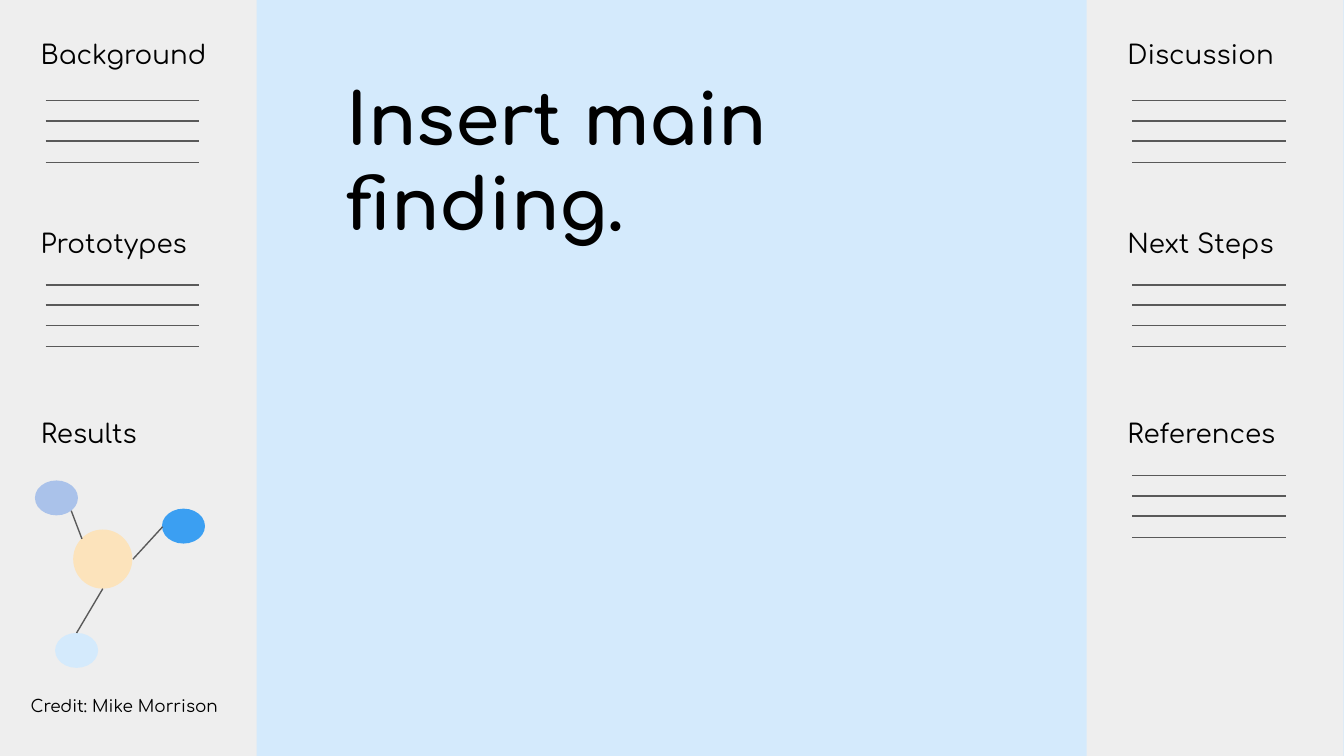
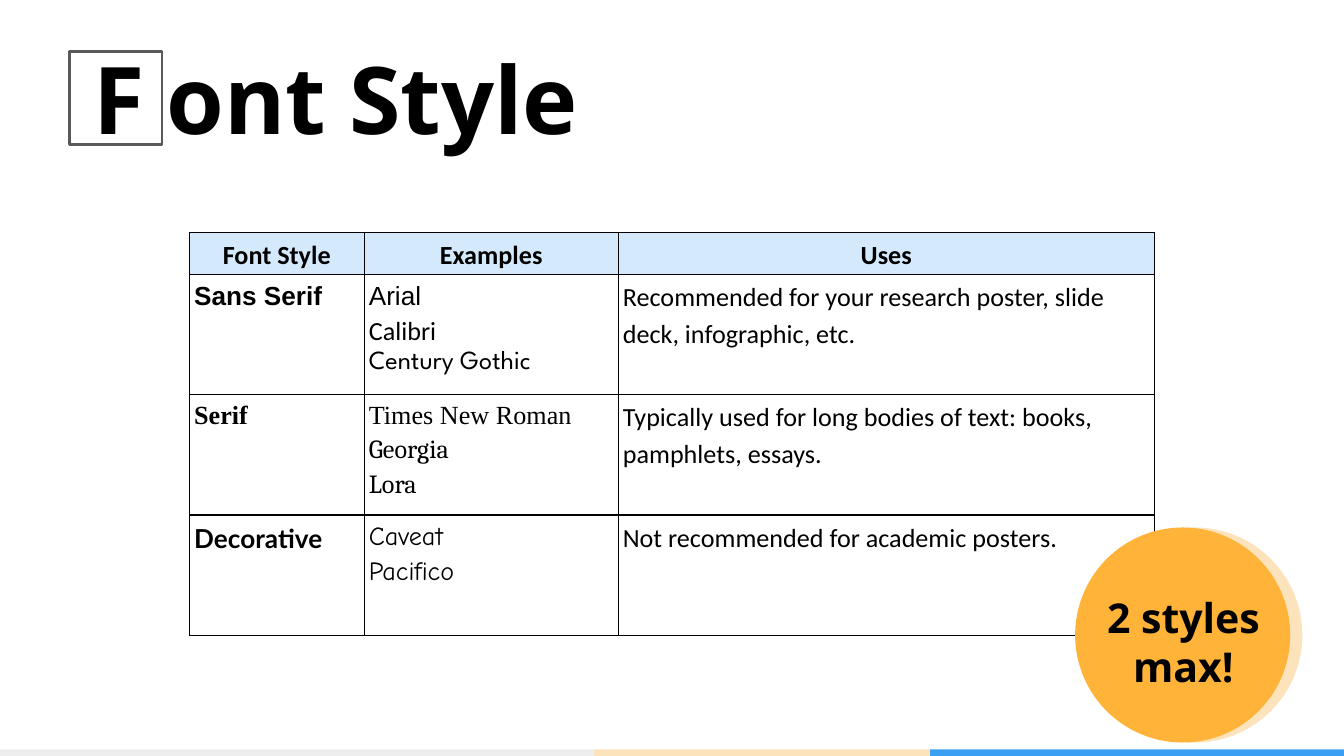
"""Build a two-slide deck: a research poster layout and a font style guide."""
from lxml import etree
from pptx import Presentation
from pptx.dml.color import RGBColor
from pptx.enum.shapes import MSO_CONNECTOR, MSO_SHAPE
from pptx.enum.text import MSO_ANCHOR, MSO_AUTO_SIZE, PP_ALIGN
from pptx.oxml.ns import qn
from pptx.util import Emu, Pt

RECTANGLE, ELLIPSE = MSO_SHAPE.RECTANGLE, MSO_SHAPE.OVAL
STRAIGHT = MSO_CONNECTOR.STRAIGHT
TOP, BOTTOM = MSO_ANCHOR.TOP, MSO_ANCHOR.BOTTOM
LEFT, CENTER = PP_ALIGN.LEFT, PP_ALIGN.CENTER
NO_AUTOFIT = MSO_AUTO_SIZE.NONE

EMU_PER_PX = 4572
WIDTH, HEIGHT = 2000, 1125
TITLE_ONLY = 5
COLORS = {
    "ink": "000000", "rule": "595959", "white": "FFFFFF", "gray": "EEEEEE",
    "sky": "D4EAFC", "blue": "3B9FF2", "lavender": "AAC2EA",
    "cream": "FCE3BB", "orange": "FFB339",
}
POSTER_FONT, GUIDE_FONT, TABLE_FONT = "Comfortaa", "Open Sans", "Calibri"


def px(length):
    return Emu(length * EMU_PER_PX)


def color(name):
    return RGBColor.from_string(COLORS[name])


class Deck:
    def __init__(self):
        self.presentation = Presentation()
        self.presentation.slide_width = px(WIDTH)
        self.presentation.slide_height = px(HEIGHT)
        self.slide = None

    def add_slide(self, background):
        layout = self.presentation.slide_layouts[TITLE_ONLY]
        self.slide = self.presentation.slides.add_slide(layout)
        fill = self.slide.background.fill
        fill.solid()
        fill.fore_color.rgb = color(background)

    def format_paragraph(self, paragraph, font, size, bold, align):
        paragraph.alignment = align
        for run in paragraph.runs:
            run.font.name = font
            run.font.size = Pt(size)
            run.font.bold = bold
            run.font.color.rgb = color("ink")

    def fill_frame(self, frame, text, font, size, bold, align):
        frame.text = text
        frame.word_wrap = True
        frame.auto_size = NO_AUTOFIT
        frame.vertical_anchor = TOP
        frame.margin_left = frame.margin_right = px(20)
        frame.margin_top = frame.margin_bottom = px(20)
        self.format_paragraph(frame.paragraphs[0], font, size, bold, align)

    def title(self, text, box, font, size):
        shape = self.slide.shapes.title
        shape.left, shape.top, shape.width, shape.height = map(px, box)
        self.fill_frame(shape.text_frame, text, font, size, True, LEFT)

    def text(self, text, box, font, size, bold=False, align=LEFT):
        shape = self.slide.shapes.add_textbox(*map(px, box))
        self.fill_frame(shape.text_frame, text, font, size, bold, align)

    def shape(self, kind, box, fill=None, outline=None):
        shape = self.slide.shapes.add_shape(kind, *map(px, box))
        shape.shadow.inherit = False
        if fill:
            shape.fill.solid()
            shape.fill.fore_color.rgb = color(fill)
        else:
            shape.fill.background()
        if outline:
            shape.line.color.rgb = color(outline)
            shape.line.width = Pt(1.5)
        else:
            shape.line.fill.background()

    def line(self, *ends):
        connector = self.slide.shapes.add_connector(STRAIGHT, *map(px, ends))
        connector.line.color.rgb = color("rule")
        connector.line.width = Pt(0.75)
        etree.SubElement(connector._element.spPr, qn("a:effectLst"))

    def border(self, cell):
        properties = cell._tc.get_or_add_tcPr()
        for index, side in enumerate(("lnL", "lnR", "lnT", "lnB")):
            edge = etree.Element(qn(f"a:{side}"), w=str(Pt(0.75)))
            fill = etree.SubElement(edge, qn("a:solidFill"))
            etree.SubElement(fill, qn("a:srgbClr"), val=COLORS["ink"])
            properties.insert(index, edge)

    def cell(self, cell, lines, bold, header):
        cell.margin_left = cell.margin_right = px(7)
        cell.margin_top = cell.margin_bottom = px(4)
        cell.vertical_anchor = BOTTOM if header else TOP
        if header:
            cell.fill.solid()
            cell.fill.fore_color.rgb = color("sky")
        else:
            cell.fill.background()
        self.border(cell)
        cell.text_frame.text = "\n".join(text for text, _ in lines)
        for paragraph, (_, font) in zip(cell.text_frame.paragraphs, lines):
            paragraph.line_spacing = 1.15
            align = CENTER if header else LEFT
            self.format_paragraph(paragraph, font, 14, bold, align)

    def table(self, left, top, widths, heights, rows):
        box = (left, top, sum(widths), sum(heights))
        frame = self.slide.shapes.add_table(len(rows), len(widths), *map(px, box))
        table = frame.table
        table.first_row = table.horz_banding = False
        for column, width in zip(table.columns, widths):
            column.width = px(width)
        for row, height in zip(table.rows, heights):
            row.height = px(height)
        for r, row in enumerate(rows):
            for c, lines in enumerate(row):
                self.cell(table.cell(r, c), lines, r == 0 or c == 0, r == 0)


def side_panel(deck, left, headings, line_tops):
    deck.shape(RECTANGLE, (left, 0, 382, HEIGHT), "gray")
    for (heading, width), top in zip(headings, (37, 318, 601)):
        deck.text(heading, (left + 41, top, width, 88), POSTER_FONT, 14)
    for top in line_tops:
        for offset in (0, 30, 60, 92):
            y = top + offset
            deck.line(left + 68, y, left + 296, y)


def poster_slide(deck):
    deck.add_slide("sky")
    deck.title("Insert main finding.", (496, 91, 990, 296), POSTER_FONT, 38)
    side_panel(deck, 0, [("Background", 294), ("Prototypes", 294),
                         ("Results", 224)], (150, 424))
    deck.text("Credit: Mike Morrison", (26, 1016, 342, 70), POSTER_FONT, 9)
    side_panel(deck, 1617, [("Discussion", 314), ("Next Steps", 280),
                            ("References", 280)], (150, 424, 708))
    for left, top, fill in ((241, 757, "blue"), (82, 942, "sky"),
                            (52, 715, "lavender")):
        deck.shape(ELLIPSE, (left, top, 64, 52), fill)
    deck.shape(ELLIPSE, (109, 788, 88, 88), "cream")
    for ends in ((106, 760, 122, 802), (242, 784, 198, 832),
                 (153, 876, 114, 942)):
        deck.line(*ends)


def font_slide(deck):
    deck.add_slide("white")
    deck.shape(RECTANGLE, (103, 77, 138, 138), outline="rule")
    title_top, title_height = 42, 208
    deck.text("F", (120, title_top, 108, title_height), GUIDE_FONT, 50, True)
    deck.title("ont", (228, title_top, 500, title_height), GUIDE_FONT, 50)
    deck.text("Style", (500, title_top, 500, title_height), GUIDE_FONT, 50, True)
    badge_top, badge_size = 785, 320
    deck.shape(ELLIPSE, (1618, badge_top, badge_size, badge_size), "cream")
    rows = [
        [[(heading, TABLE_FONT)] for heading in ("Font Style", "Examples", "Uses")],
        [[("Sans Serif", "Arial")],
         [("Arial", "Arial"), ("Calibri", "Calibri"),
          ("Century Gothic", "League Spartan")],
         [("Recommended for your research poster, slide deck, infographic, etc.",
           TABLE_FONT)]],
        [[("Serif", "Times New Roman")],
         [("Times New Roman", "Times New Roman"), ("Georgia", "Cambria"),
          ("Lora", "Cambria")],
         [("Typically used for long bodies of text: books, pamphlets, essays.",
           TABLE_FONT)]],
        [[("Decorative", "Lato")],
         [("Caveat", "Comic Neue"), ("Pacifico", "Comic Neue")],
         [("Not recommended for academic posters.", TABLE_FONT)]],
    ]
    deck.table(282, 346, (260, 378, 798), (60, 179, 179, 179), rows)
    left = 0
    for width, fill in ((884, "gray"), (500, "cream"), (616, "blue")):
        deck.shape(RECTANGLE, (left, 1115, width, 10), fill)
        left += width
    deck.shape(ELLIPSE, (1600, badge_top, badge_size, badge_size), "orange")
    deck.text("2 styles max!", (1626, 862, 270, 150), GUIDE_FONT, 22, True, CENTER)


def main():
    deck = Deck()
    poster_slide(deck)
    font_slide(deck)
    deck.presentation.save("out.pptx")


if __name__ == "__main__":
    main()
